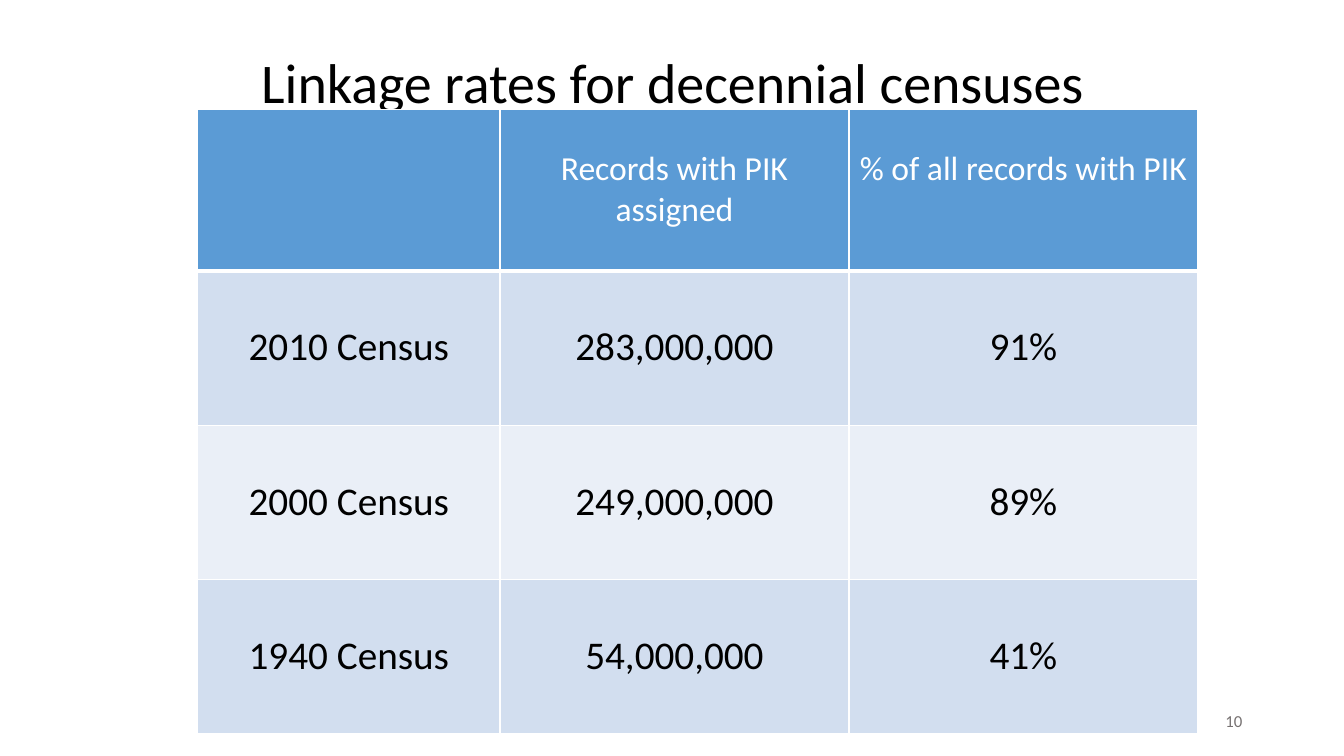
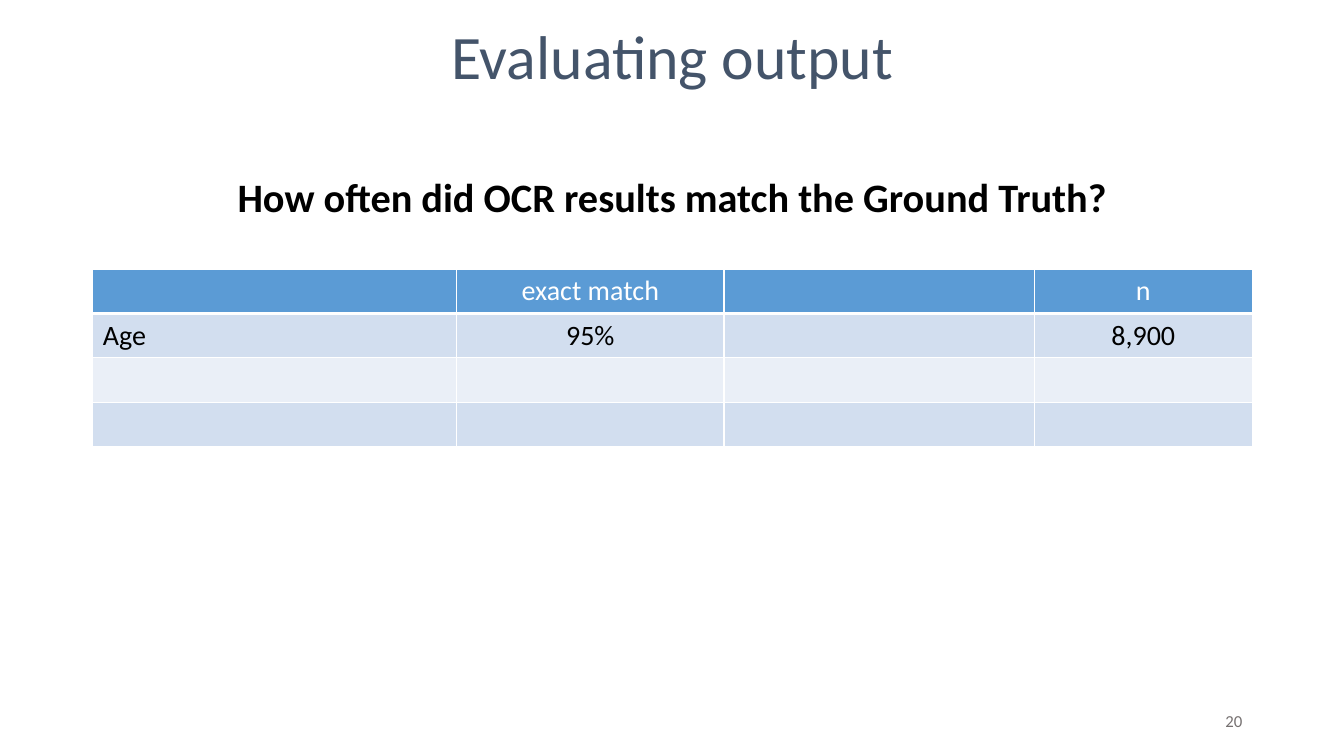
from lxml.etree import SubElement
from pptx import Presentation
from pptx.dml.color import RGBColor
from pptx.enum.text import MSO_ANCHOR, PP_ALIGN
from pptx.oxml.ns import qn
from pptx.util import Inches, Pt

FONT = "Calibri"
BLACK, WHITE, GREY, NAVY = "000000", "FFFFFF", "767171", "44546A"
HEAD, BANDS = "5B9BD5", ("D2DEEF", "EAEFF7")
LEFT, WIDTH = 0.92, 11.5


def color(code):
    """Turn a hex string into a colour."""
    return RGBColor.from_string(code)


def write(frame, text, size=20, ink=BLACK, bold=False, align=PP_ALIGN.CENTER):
    """Write one formatted paragraph into a text frame."""
    para = frame.paragraphs[0]
    para.alignment = align
    run = para.add_run()
    run.text = text
    run.font.name = FONT
    run.font.size = Pt(size)
    run.font.bold = bold
    run.font.color.rgb = color(ink)


def label(slide, box, text, **style):
    """Place a wrapped, vertically centred text box."""
    frame = slide.shapes.add_textbox(*map(Inches, box)).text_frame
    frame.word_wrap = True
    frame.vertical_anchor = MSO_ANCHOR.MIDDLE
    write(frame, text, **style)


def border(cell, base):
    """Draw white cell borders, with the given width in points below."""
    props = cell._tc.get_or_add_tcPr()
    for side, width in (("L", 1), ("R", 1), ("T", 1), ("B", base)):
        line = SubElement(props, qn("a:ln" + side), w=str(Pt(width)))
        fill = SubElement(line, qn("a:solidFill"))
        SubElement(fill, qn("a:srgbClr"), val=WHITE)


def grid(slide, spot, widths, heights, rows, sizes=(20, 20), tops=(0.05, 0.05),
         first=PP_ALIGN.CENTER):
    """Place a banded table; sizes and tops hold header and body values."""
    box = (*spot, sum(widths), sum(heights))
    table = slide.shapes.add_table(len(rows), len(widths), *map(Inches, box)).table
    for column, width in zip(table.columns, widths):
        column.width = Inches(width)
    for y, texts in enumerate(rows):
        table.rows[y].height = Inches(heights[y])
        body = int(y > 0)
        for x, text in enumerate(texts):
            cell = table.cell(y, x)
            border(cell, 1 if body else 3)
            cell.fill.solid()
            cell.fill.fore_color.rgb = color(BANDS[(y - 1) % 2] if body else HEAD)
            cell.margin_top = Inches(tops[body])
            if text:
                write(cell.text_frame, text, size=sizes[body],
                      ink=BLACK if body else WHITE,
                      align=PP_ALIGN.CENTER if x else first)


def page(deck, title, top, number, **style):
    """Add a blank slide with its title and page number."""
    slide = deck.slides.add_slide(deck.slide_layouts[6])
    label(slide, (LEFT, top, WIDTH, 0.6), title, **style)
    label(slide, (9.42, 6.95, 3, 0.4), number, size=12, ink=GREY,
          align=PP_ALIGN.RIGHT)
    return slide


def linkage(deck):
    """Build the slide of census linkage rates."""
    slide = page(deck, "Linkage rates for decennial censuses", 0.5, "10", size=40)
    rows = [
        ("", "Records with PIK assigned", "% of all records with PIK"),
        ("2010 Census", "283,000,000", "91%"),
        ("2000 Census", "249,000,000", "89%"),
        ("1940 Census", "54,000,000", "41%"),
    ]
    grid(slide, (1.96, 1.09), (3, 3.46, 3.46), (1.6, 1.53, 1.53, 1.53), rows,
         sizes=(24, 28), tops=(0.38, 0.52))


def output(deck):
    """Build the slide that evaluates the output."""
    slide = page(deck, "Evaluating output", 0.24, "20", size=44.1, ink=NAVY)
    label(slide, (LEFT, 1.65, WIDTH, 0.6),
          "How often did OCR results match the Ground Truth?", size=28.8, bold=True)
    blank = ("",) * 4
    rows = [
        ("", "exact match", "", "n"),
        ("Age", "95%", "", "8,900"),
        blank,
        blank,
    ]
    grid(slide, (LEFT, 2.67), (3.61, 2.65, 3.08, 2.16), (0.44,) * 4, rows,
         first=PP_ALIGN.LEFT)


def main():
    """Build and save the deck."""
    deck = Presentation()
    deck.slide_width, deck.slide_height = Inches(13.33), Inches(7.5)
    linkage(deck)
    output(deck)
    deck.save("out.pptx")


if __name__ == "__main__":
    main()
